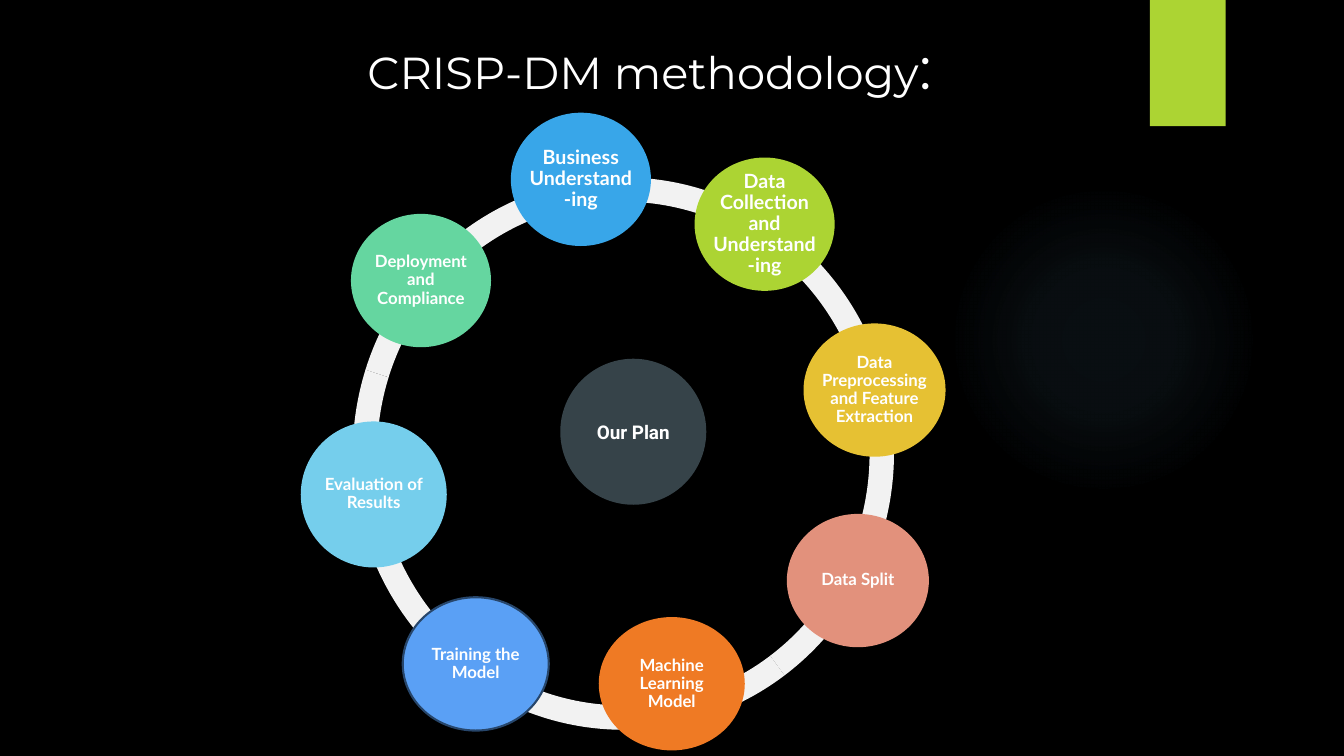
import math
from dataclasses import dataclass

import lxml.etree
import pptx
import pptx.dml.color
import pptx.enum.shapes
import pptx.enum.text
import pptx.oxml
import pptx.oxml.ns
import pptx.shapes.autoshape
import pptx.text.text
import pptx.util

Cm = pptx.util.Cm
Pt = pptx.util.Pt
RGB = pptx.dml.color.RGBColor.from_string
SHAPE = pptx.enum.shapes.MSO_SHAPE


@dataclass(frozen=True)
class Theme:
    background: str = "000000"
    text: str = "FFFFFF"
    accent: str = "ACD433"
    glow: str = "7AC4F0"
    ring: str = "F2F2F2"
    hub: str = "364349"
    outline: str = "27466B"
    title_font: str = "Montserrat"
    step_font: str = "Lato"
    hub_font: str = "Roboto"
    title_size: float = 32
    colon_size: float = 42
    hub_size: float = 13.5
    large: float = 14
    small: float = 12


@dataclass(frozen=True)
class Bubble:
    """A filled ellipse, placed by its centre and size in centimetres."""
    text: str
    x: float
    y: float
    width: float
    height: float
    fill: str
    size: float = Theme.small
    font: str = Theme.step_font
    line: str | None = None
    spacing: float = 0.9


THEME = Theme()
HUB = Bubble("Our Plan", 15.96, 10.88, 3.68, 3.68, THEME.hub,
             THEME.hub_size, THEME.hub_font, spacing=1.0)
STEPS = [
    Bubble("Business Understand-ing", 14.64, 4.52, 3.53, 3.36, "38A6E9", THEME.large),
    Bubble("Data Collection and Understand-ing", 19.27, 5.65, 3.53, 3.36,
           THEME.accent, THEME.large),
    Bubble("Data Preprocessing and Feature Extraction", 22.04, 9.83, 3.58, 3.36, "E6C133"),
    Bubble("Data Split", 21.62, 14.63, 3.58, 3.36, "E2917C"),
    Bubble("Machine Learning Model", 16.93, 17.23, 3.68, 3.36, "EF7A24"),
    Bubble("Training the Model", 11.99, 16.73, 3.68, 3.36, "5AA0F5", line=THEME.outline),
    Bubble("Evaluation of Results", 9.42, 12.46, 3.68, 3.68, "75CEEC"),
    Bubble("Deployment and Compliance", 10.61, 7.07, 3.53, 3.36, "65D6A0"),
]
RING_BOX = (8.89, 4.47, 13.64, 13.92)
RING_ANGLES = [18, 54, 90, 126, 162, 198, 18]
RING_THICKNESS = 0.045
GLOW_STOPS = [(0, 7), (36, 6), (69, 0)]
TEXT_INSET = 0.41


def add_plain_shape(shapes, kind, box: tuple[float, ...],
                    fill: str) -> pptx.shapes.autoshape.Shape:
    sp = shapes.add_shape(kind, *(Cm(v) for v in box))
    sp.shadow.inherit = False
    sp.fill.solid()
    sp.fill.fore_color.rgb = RGB(fill)
    sp.line.fill.background()
    return sp


def add_run(p, text: str, font: str, size: float, bold: bool = False) -> None:
    r = p.add_run()
    r.text = text
    r.font.name = font
    r.font.size = Pt(size)
    r.font.bold = bold
    r.font.color.rgb = RGB(THEME.text)


def prepare_frame(tf: pptx.text.text.TextFrame, margin_x: float, margin_y: float):
    """Centre the text both ways and return the first paragraph."""
    tf.word_wrap = True
    tf.vertical_anchor = pptx.enum.text.MSO_ANCHOR.MIDDLE
    tf.margin_left = tf.margin_right = Cm(margin_x)
    tf.margin_top = tf.margin_bottom = Cm(margin_y)
    p = tf.paragraphs[0]
    p.alignment = pptx.enum.text.PP_ALIGN.CENTER
    return p


def add_glow(shapes) -> None:
    sp = add_plain_shape(shapes, SHAPE.OVAL, (23.9, 4.65, 7.82, 7.82), THEME.glow)
    stops = "".join(
        f'<a:gs pos="{pos * 1000}"><a:srgbClr val="{THEME.glow}">'
        f'<a:alpha val="{alpha * 1000}"/></a:srgbClr></a:gs>'
        for pos, alpha in GLOW_STOPS)
    gradient = pptx.oxml.parse_xml(
        f'<a:gradFill {pptx.oxml.ns.nsdecls("a")}><a:gsLst>{stops}</a:gsLst>'
        '<a:path path="circle"><a:fillToRect l="50000" t="50000" r="50000" b="50000"/>'
        '</a:path></a:gradFill>')
    solid = sp.element.spPr.find(pptx.oxml.ns.qn("a:solidFill"))
    sp.element.spPr.replace(solid, gradient)


def add_title(shapes) -> None:
    box = shapes.add_textbox(Cm(4.75), Cm(0.99), Cm(23.24), Cm(1.37))
    p = prepare_frame(box.text_frame, 0, 0)
    add_run(p, "CRISP-DM methodology", THEME.title_font, THEME.title_size)
    add_run(p, ":", THEME.title_font, THEME.colon_size)


def add_ring(shapes) -> None:
    group = shapes.add_group_shape()
    for start, end in zip(RING_ANGLES, RING_ANGLES[1:]):
        arc = add_plain_shape(group.shapes, SHAPE.BLOCK_ARC, RING_BOX, THEME.ring)
        # Angles are stored in 60000ths of a degree, adjustments in 100000ths.
        arc.adjustments[0] = start * 0.6
        arc.adjustments[1] = end * 0.6
        arc.adjustments[2] = RING_THICKNESS


def add_bubble(shapes, b: Bubble) -> None:
    """Draw a bubble whose text area is measured from its bounding box."""
    box = (b.x - b.width / 2, b.y - b.height / 2, b.width, b.height)
    sp = add_plain_shape(shapes, SHAPE.OVAL, box, b.fill)
    if b.line:
        sp.line.color.rgb = RGB(b.line)
        sp.line.width = Pt(1.5)
    built_in = (1 - math.sqrt(0.5)) / 2
    p = prepare_frame(sp.text_frame, TEXT_INSET - built_in * b.width,
                      TEXT_INSET - built_in * b.height)
    p.line_spacing = b.spacing
    add_run(p, b.text, b.font, b.size, bold=True)


def main() -> None:
    prs = pptx.Presentation()
    prs.slide_width, prs.slide_height = Cm(33.87), Cm(19.05)
    s = prs.slides.add_slide(prs.slide_layouts[6])
    s.background.fill.solid()
    s.background.fill.fore_color.rgb = RGB(THEME.background)
    add_glow(s.shapes)
    add_plain_shape(s.shapes, SHAPE.RECTANGLE, (28.98, 0, 1.91, 3.18), THEME.accent)
    add_title(s.shapes)
    add_ring(s.shapes)
    for bubble in [HUB, *STEPS]:
        add_bubble(s.shapes, bubble)
    prs.save("out.pptx")


if __name__ == "__main__":
    main()
